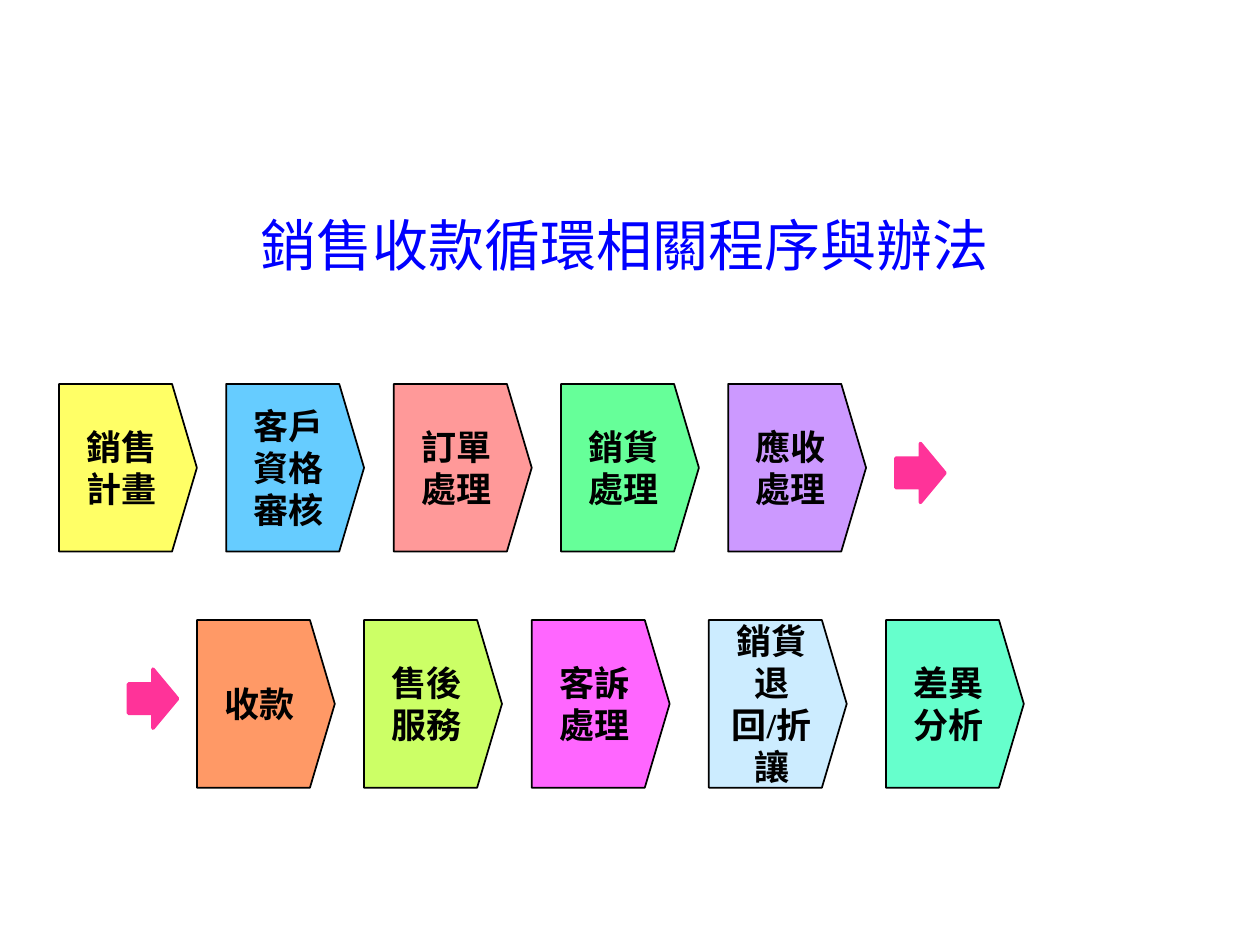
import pptx
import pptx.util
import pptx.dml.color
import pptx.enum.shapes
import pptx.enum.text
import pptx.oxml
import pptx.oxml.ns

Cm, Pt = pptx.util.Cm, pptx.util.Pt
KIND = pptx.enum.shapes.MSO_SHAPE
HAN = "Noto Sans CJK JP"


def paint(fmt, color):
    """Give a font, or a fill or line's fill, a solid hex colour."""
    if hasattr(fmt, "solid"):
        fmt.solid()
        fmt.fore_color.rgb = pptx.dml.color.RGBColor.from_string(color)
    else:
        fmt.color.rgb = pptx.dml.color.RGBColor.from_string(color)


def write(shape, text, size, face, color, bold=False, lead=None):
    frame = shape.text_frame
    frame.word_wrap = True
    frame.vertical_anchor = pptx.enum.text.MSO_ANCHOR.MIDDLE
    par = frame.paragraphs[0]
    par.text = text
    par.alignment = pptx.enum.text.PP_ALIGN.CENTER
    if lead:
        par.line_spacing = Pt(lead)
    for run in par.runs:
        run.font.size, run.font.name, run.font.bold = Pt(size), face, bold
        paint(run.font, color)
        asian = pptx.oxml.parse_xml(
            f'<a:ea {pptx.oxml.ns.nsdecls("a")} typeface="{HAN}"/>')
        run.font._element.find(pptx.oxml.ns.qn("a:latin")).addnext(asian)


deck = pptx.Presentation()
deck.slide_width, deck.slide_height = Cm(25.4), Cm(19.05)
slide = deck.slides.add_slide(deck.slide_layouts[5])

title = slide.shapes.title
title.left, title.top = Cm(1.57), Cm(3.76)
title.width, title.height = Cm(22.05), Cm(2.31)
write(title, "銷售收款循環相關程序與辦法", size=32, face=HAN, color="0000FF")

# Each row: top, then (left, text, fill) of its steps
rows = [
    (7.74, [
        (1.19, "銷售\v計畫", "FFFF66"),
        (4.56, "客戶資格審核", "66CCFF"),
        (7.94, "訂單處理", "FF9999"),
        (11.31, "銷貨處理", "66FF99"),
        (14.68, "應收處理", "CC99FF"),
    ]),
    (12.5, [
        (3.97, "收款", "FF9966"),
        (7.34, "售後服務", "CCFF66"),
        (10.72, "客訴處理", "FF66FF"),
        (14.29, "銷貨退回/折讓", "CCECFF"),
        (17.86, "差異分析", "66FFCC"),
    ]),
]
for top, steps in rows:
    for left, text, fill in steps:
        step = slide.shapes.add_shape(
            KIND.PENTAGON, Cm(left), Cm(top), Cm(2.78), Cm(3.38))
        step.adjustments[0] = 0.18
        step.shadow.inherit = False
        paint(step.fill, fill)
        paint(step.line.fill, "000000")
        step.line.width = Pt(1)
        write(step, text, size=20, face="Times New Roman", color="000000",
              bold=True, lead=24)

for left, top in [(18.06, 8.94), (2.59, 13.49)]:
    arrow = slide.shapes.add_shape(
        KIND.RIGHT_ARROW, Cm(left), Cm(top), Cm(0.99), Cm(1.19))
    arrow.shadow.inherit = False
    paint(arrow.fill, "FF3399")
    paint(arrow.line.fill, "FF3399")
    arrow.line.width = Pt(2)

deck.save("out.pptx")
